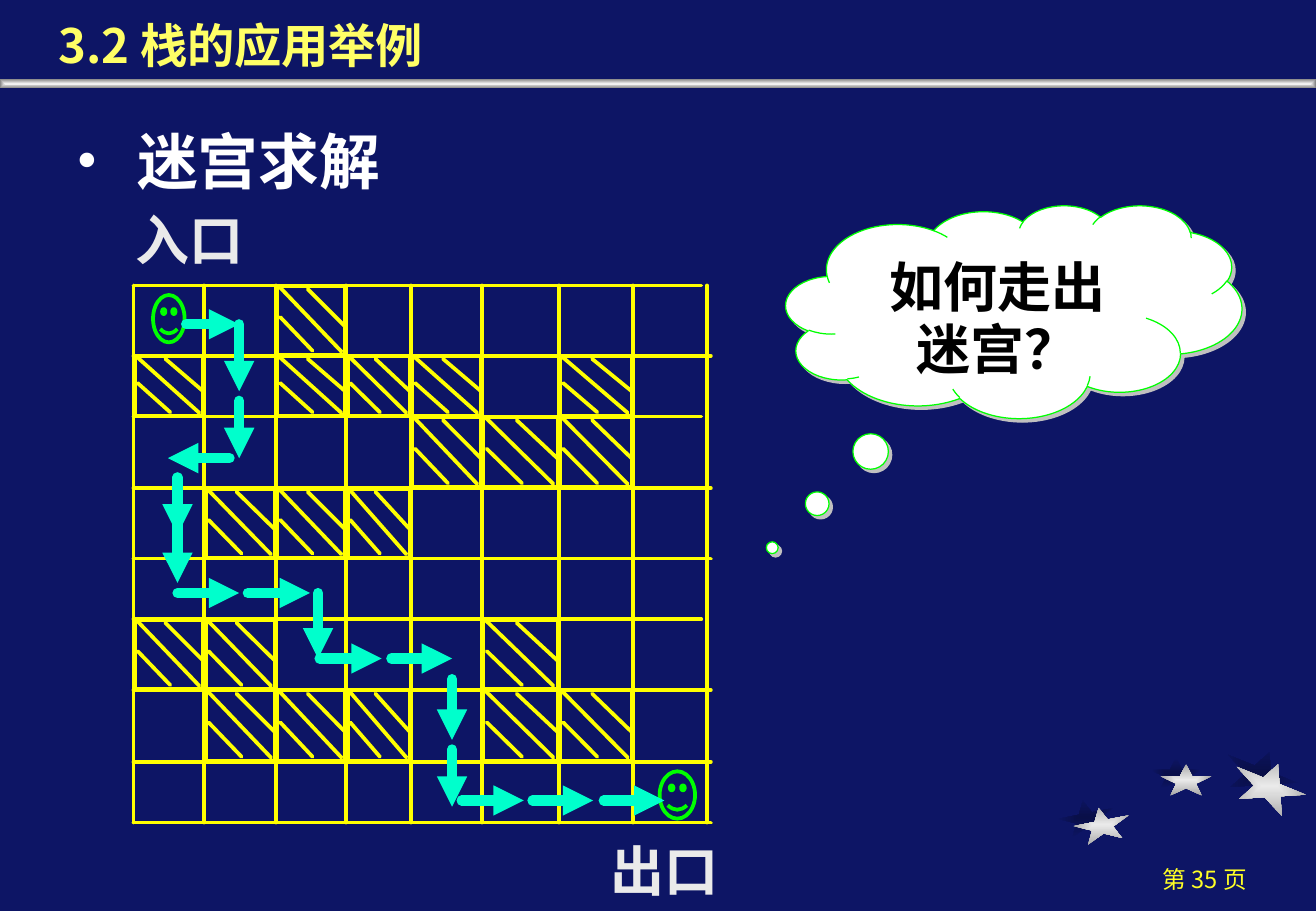
from itertools import product

from lxml.etree import SubElement
from pptx import Presentation
from pptx.dml.color import RGBColor
from pptx.enum.shapes import MSO_CONNECTOR as Link, MSO_SHAPE as Preset
from pptx.enum.text import MSO_ANCHOR as Anchor, PP_ALIGN as Align
from pptx.oxml import parse_xml
from pptx.oxml.ns import nsdecls, qn
from pptx.util import Cm, Pt

NAVY = RGBColor(0x0D, 0x15, 0x65)
DEEP_NAVY = RGBColor(0x09, 0x0F, 0x48)
SILVER = RGBColor(0xEA, 0xEA, 0xEA)
STEEL = RGBColor(0xA7, 0xA7, 0xA7)
BAR_LIGHT = RGBColor(0xF2, 0xF2, 0xF2)
BAR_DARK = RGBColor(0x80, 0x80, 0x80)
WHITE = RGBColor(0xFF, 0xFF, 0xFF)
BLACK = RGBColor(0x00, 0x00, 0x00)
YELLOW = RGBColor(0xFF, 0xFF, 0x00)
TITLE_YELLOW = RGBColor(0xFF, 0xFF, 0x66)
PAGE_YELLOW = RGBColor(0xFF, 0xFF, 0x25)
GREEN = RGBColor(0x00, 0xFF, 0x00)
AQUA = RGBColor(0x00, 0xFF, 0xCC)

COLUMNS = [2.79, 4.27, 5.77, 7.24, 8.59, 10.08, 11.68, 13.23, 14.78]
ROWS = [5.97, 7.44, 8.71, 10.21, 11.68, 12.95, 14.43, 15.93, 17.2]
SHORT_ROWS = {0, 2, 5}
WALLS = {0: [2], 1: [0, 2, 3, 4, 6], 2: [4, 5, 6], 3: [1, 2, 3],
         5: [0, 1, 5], 6: [1, 2, 3, 5, 6]}
HATCHES = [(0.05, 0.02, 0.93, 0.94), (0.06, 0.45, 0.52, 0.93), (0.45, 0.05, 0.98, 0.58)]
STEPS = [
    (3.89, 6.78, 5, 6.78), (5, 6.78, 5, 8.18), (5, 8.38, 5, 9.58),
    (4.8, 9.58, 3.51, 9.58), (3.71, 9.98, 3.71, 11.18), (3.71, 10.77, 3.71, 12.19),
    (3.71, 12.4, 5, 12.4), (5.18, 12.4, 6.48, 12.4), (6.65, 12.4, 6.65, 13.77),
    (6.68, 13.77, 7.98, 13.77), (8.18, 13.77, 9.45, 13.77), (9.45, 14.2, 9.45, 15.47),
    (9.45, 15.67, 9.45, 16.87), (9.65, 16.74, 10.95, 16.74),
    (11.13, 16.74, 12.4, 16.74), (12.62, 16.74, 13.89, 16.74),
]
STAR_SHADOWS = [(22.12, 16.74, 1.17, 0.71, 349), (24.05, 15.85, 1.07, 0.66, 0),
                (25.58, 15.7, 1.55, 0.97, 22)]
STARS = [(22.45, 16.89, 1.17, 0.71, 349), (24.26, 15.98, 1.07, 0.66, 0),
         (25.76, 15.95, 1.55, 0.97, 22)]


class MazeSlide:
    font = "Noto Sans CJK SC"
    wall_width = 2.25

    def __init__(self, deck):
        self.page = deck.slides.add_slide(deck.slide_layouts[6])
        fill = self.page.background.fill
        fill.solid()
        fill.fore_color.rgb = NAVY

    def shape(self, preset, left, top, width, height, fill=None, line=None, weight=wall_width):
        shape = self.page.shapes.add_shape(preset, Cm(left), Cm(top), Cm(width), Cm(height))
        shape.shadow.inherit = False
        if fill is None:
            shape.fill.background()
        else:
            shape.fill.solid()
            shape.fill.fore_color.rgb = fill
        if line is None:
            shape.line.fill.background()
        else:
            shape.line.color.rgb = line
            shape.line.width = Pt(weight)
        return shape

    def glow(self, preset, left, top, width, height, rotation, inner, outer):
        shape = self.shape(preset, left, top, width, height)
        shape.rotation = rotation
        shape.fill.gradient()
        for stop, color, position in zip(shape.fill.gradient_stops, (inner, outer), (0, 1)):
            stop.color.rgb = color
            stop.position = position
        gradient = shape._element.spPr.find(qn("a:gradFill"))
        gradient.replace(gradient.find(qn("a:lin")), parse_xml(
            f'<a:path {nsdecls("a")} path="shape">'
            '<a:fillToRect l="50000" t="50000" r="50000" b="50000"/></a:path>'))

    def line(self, x1, y1, x2, y2, color=YELLOW, weight=wall_width, arrow=False):
        link = self.page.shapes.add_connector(Link.STRAIGHT, Cm(x1), Cm(y1), Cm(x2), Cm(y2))
        link.line.color.rgb = color
        link.line.width = Pt(weight)
        stroke = link._element.spPr.find(qn("a:ln"))
        stroke.set("cap", "rnd")
        if arrow:
            SubElement(stroke, qn("a:tailEnd"), type="triangle")
        SubElement(link._element.spPr, qn("a:effectLst"))

    def span(self, para, text, size, color, bold=True, latin=font):
        span = para.add_run()
        span.text = text
        span.font.size = Pt(size)
        span.font.bold = bold
        span.font.color.rgb = color
        span.font.name = latin
        SubElement(span.font._element, qn("a:ea"), typeface=self.font)

    def text(self, left, top, width, height, text, size, color, bold=True,
             anchor=Anchor.MIDDLE, align=Align.LEFT, bullet=False):
        box = self.page.shapes.add_textbox(Cm(left), Cm(top), Cm(width), Cm(height))
        frame = box.text_frame
        frame.word_wrap = True
        frame.vertical_anchor = anchor
        frame.margin_top = frame.margin_bottom = 0
        para = frame.paragraphs[0]
        para.alignment = align
        if bullet:
            marks = para._p.get_or_add_pPr()
            marks.set("marL", str(Cm(1.27)))
            marks.set("indent", str(Cm(-1.27)))
            SubElement(marks, qn("a:buFont"), typeface="Times New Roman")
            SubElement(marks, qn("a:buChar"), char="•")
        self.span(para, text, size, color, bold)

    def wall(self, row, column):
        left, right = COLUMNS[column:column + 2]
        top, bottom = ROWS[row:row + 2]
        width, height = right - left, bottom - top
        self.shape(Preset.RECTANGLE, left + 0.03, top + 0.01, width - 0.05, height - 0.03,
                   line=YELLOW)
        for x1, y1, x2, y2 in HATCHES:
            self.line(left + x1 * width, top + y1 * height,
                      left + x2 * width, top + y2 * height)

    def thought(self, left, top, width, height, lines):
        cloud = self.shape(Preset.CLOUD_CALLOUT, left, top, width, height, WHITE, GREEN, 0.75)
        cloud.adjustments[0] = -0.53
        cloud.adjustments[1] = 1.11
        cloud._element.spPr.find(qn("a:effectLst")).append(parse_xml(
            f'<a:outerShdw {nsdecls("a")} dist="{Pt(2.8)}" dir="2700000" algn="ctr">'
            '<a:srgbClr val="C0C0C0"/></a:outerShdw>'))
        frame = cloud.text_frame
        frame.word_wrap = True
        frame.vertical_anchor = Anchor.TOP
        frame.margin_top = Cm(0.44)
        for index, text in enumerate(lines):
            para = frame.add_paragraph() if index else frame.paragraphs[0]
            para.alignment = Align.CENTER
            para.line_spacing = 0.95
            self.span(para, text, 32, BLACK, latin="Times New Roman")


def main():
    deck = Presentation()
    deck.slide_width, deck.slide_height = Cm(27.51), Cm(19.05)
    maze = MazeSlide(deck)

    for stars, inner, outer in ((STAR_SHADOWS, DEEP_NAVY, NAVY), (STARS, SILVER, STEEL)):
        for star in stars:
            maze.glow(Preset.STAR_5_POINT, *star, inner, outer)
    maze.text(22.86, 17.96, 4.65, 0.84, "第 35 页", 14, PAGE_YELLOW, False, align=Align.CENTER)
    maze.glow(Preset.RECTANGLE, 0, 1.65, 27.51, 0.2, 0, BAR_LIGHT, BAR_DARK)
    maze.text(1.35, 2.46, 25.25, 1.78, "迷宫求解", 36, WHITE, bullet=True)
    maze.text(0.97, 0, 25.81, 1.52, "3.2 栈的应用举例", 28, TITLE_YELLOW, anchor=Anchor.BOTTOM)
    maze.text(2.59, 4.19, 2.95, 1.6, "入口", 32, SILVER)
    maze.text(12.52, 17.4, 2.77, 1.6, "出口", 32, SILVER)

    for row, columns in WALLS.items():
        for cell in product([row], columns):
            maze.wall(*cell)
    for index, y in enumerate(ROWS):
        maze.line(COLUMNS[0], y, 14.66 if index in SHORT_ROWS else 14.86, y)
    for x in COLUMNS:
        maze.line(x, ROWS[0], x, ROWS[-1])
    for face in ((3.2, 6.17, 0.66, 0.99), (13.79, 16.13, 0.74, 0.99)):
        maze.shape(Preset.SMILEY_FACE, *face, line=GREEN)
    for step in STEPS:
        maze.line(*step, color=AQUA, weight=6, arrow=True)
    maze.thought(16.43, 4.29, 9.53, 4.45, ["如何走出", "迷宫？"])

    deck.save("out.pptx")


if __name__ == "__main__":
    main()
